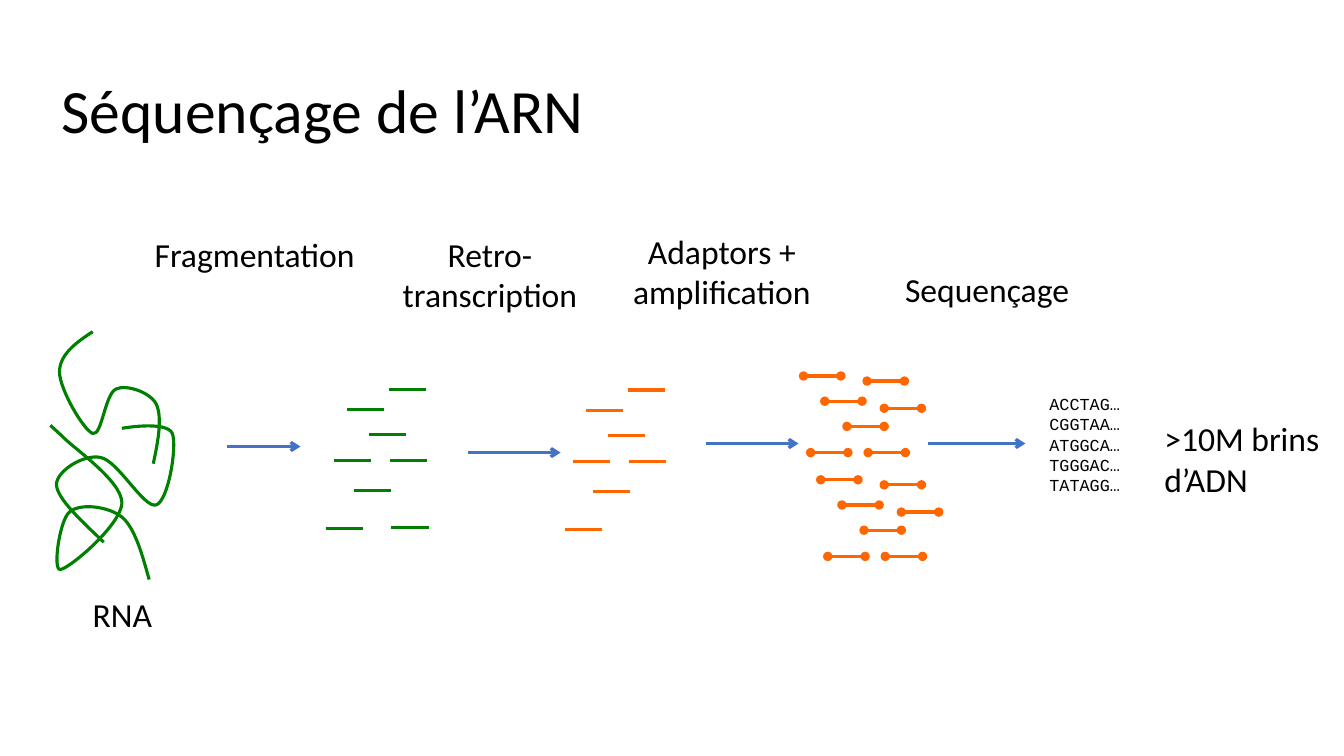
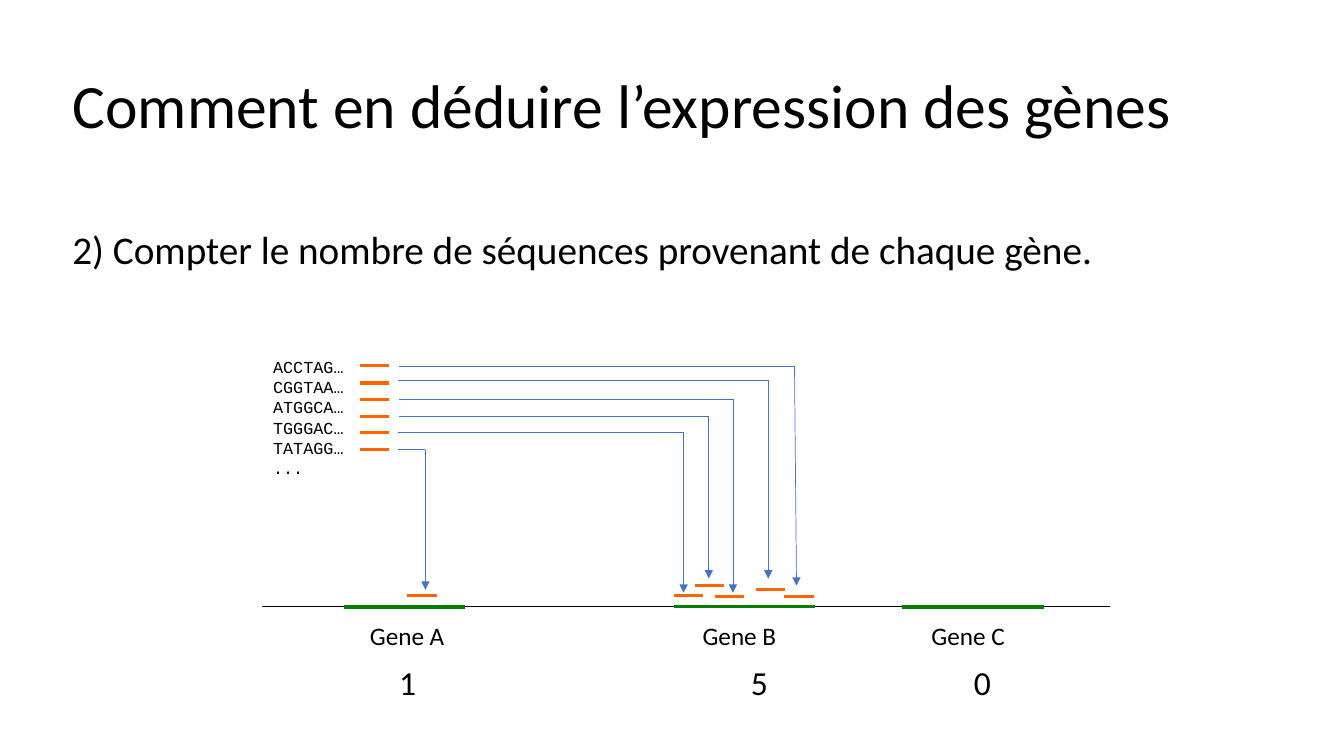
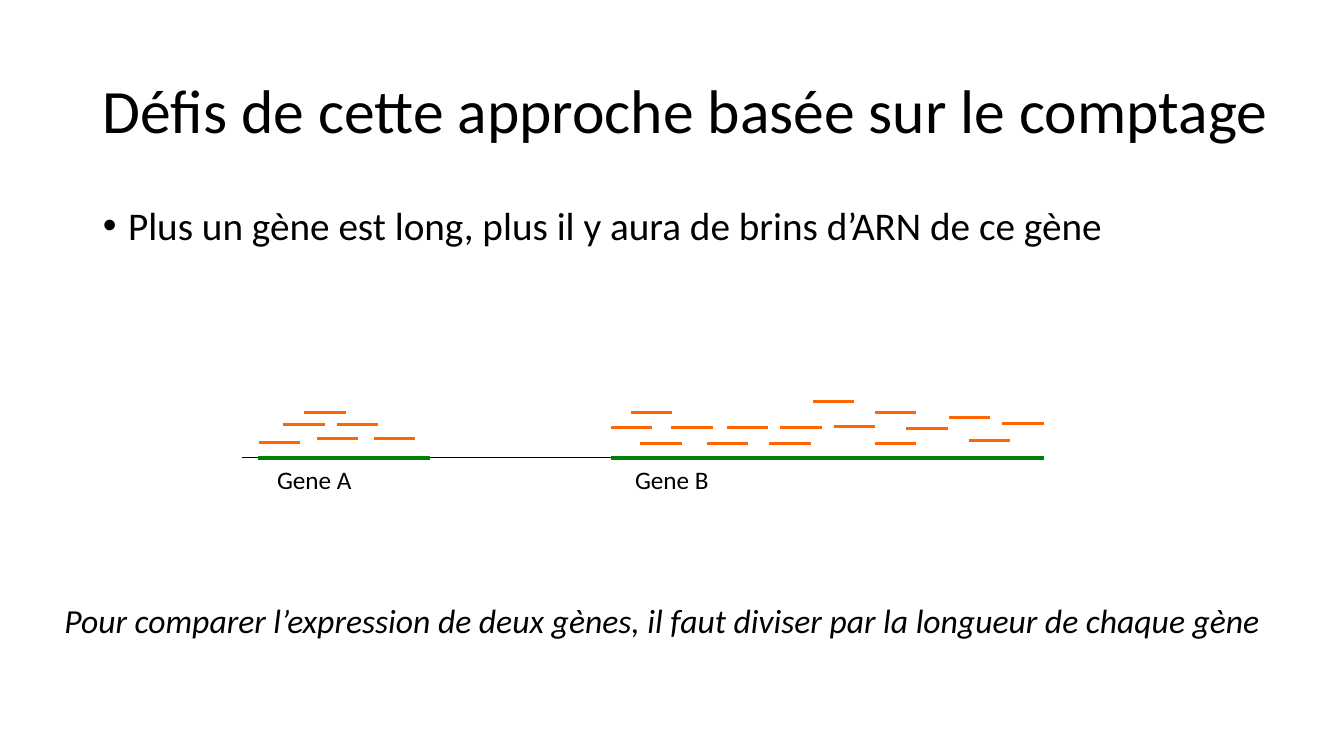
"""Build three slides on RNA sequencing and read counting."""
from dataclasses import dataclass, replace
from typing import NamedTuple

from lxml import etree
from pptx import Presentation
from pptx import util as u
from pptx.dml.color import RGBColor
from pptx.enum import text as t
from pptx.enum.shapes import MSO_CONNECTOR
from pptx.oxml import ns

PX = u.Inches(0.01)
FONT = "Calibri"
MONO = "Courier New"
BLACK = RGBColor(0x00, 0x00, 0x00)
BLUE = RGBColor(0x44, 0x72, 0xC4)
GREEN = RGBColor(0x00, 0x80, 0x00)
ORANGE = RGBColor(0xFF, 0x66, 0x00)
READS = ["ACCTAG…", "CGGTAA…", "ATGGCA…", "TGGGAC…", "TATAGG…"]
TITLE_ONLY, TITLE_AND_BODY = 5, 1


class Point(NamedTuple):
    x: int
    y: int


class Box(NamedTuple):
    left: int
    top: int
    width: int
    height: int


class Label(NamedTuple):
    text: str
    box: Box
    centred: bool = False


class Link(NamedTuple):
    start: Point
    bend: Point
    tip: Point


class Strand(NamedTuple):
    box: Box
    knots: list[tuple[int, int]]
    straight_end: list[tuple[int, int]] = []


@dataclass(frozen=True)
class Stroke:
    color: RGBColor
    width: float = 2.25
    head: str = ""
    tail: str = ""


@dataclass(frozen=True)
class Gene:
    name: str
    left: int
    right: int
    label: Box
    width: float = 3


RNA = Stroke(GREEN)
CDNA = Stroke(ORANGE)
ADAPTED = replace(CDNA, head="oval", tail="oval")
STEP_ARROW = Stroke(BLUE, tail="arrow")
LINK = Stroke(BLUE, 0.5)
LINK_ARROW = replace(LINK, tail="triangle")
GENOME = Stroke(BLACK, 0.75)


def px(values) -> list[int]:
    """Turn px lengths into EMU."""
    return [u.Emu(value * PX) for value in values]


def style_paragraph(paragraph, size: int, font: str = FONT, italic: bool = False) -> None:
    """Set the font of a whole paragraph."""
    paragraph.font.name = font
    paragraph.font.size = u.Pt(size)
    paragraph.font.italic = italic
    paragraph.font.color.rgb = BLACK


def fill_placeholder(holder, text: str, box: Box, size: int):
    """Move a placeholder, write its text and return the paragraph."""
    holder.left, holder.top, holder.width, holder.height = px(box)
    holder.text_frame.text = text
    holder.text_frame.auto_size = t.MSO_AUTO_SIZE.NONE
    paragraph = holder.text_frame.paragraphs[0]
    paragraph.alignment = t.PP_ALIGN.LEFT
    paragraph.line_spacing = 0.9
    style_paragraph(paragraph, size)
    return paragraph


def add_slide(deck, layout: int, title: str, box: Box):
    """Add a slide with its formatted title."""
    slide = deck.slides.add_slide(deck.slide_layouts[layout])
    fill_placeholder(slide.shapes.title, title, box, 44)
    slide.shapes.title.text_frame.vertical_anchor = t.MSO_ANCHOR.MIDDLE
    return slide


def add_text(slide, text: str, box: Box, size: int = 24, font: str = FONT,
             centred: bool = False, italic: bool = False) -> None:
    """Add a wrapping text box, one paragraph for each line."""
    frame = slide.shapes.add_textbox(*px(box)).text_frame
    frame.word_wrap = True
    frame.auto_size = t.MSO_AUTO_SIZE.SHAPE_TO_FIT_TEXT
    frame.text = text
    for paragraph in frame.paragraphs:
        paragraph.alignment = t.PP_ALIGN.CENTER if centred else t.PP_ALIGN.LEFT
        style_paragraph(paragraph, size, font, italic)


def add_line(slide, start: Point, end: Point, stroke: Stroke) -> None:
    """Draw a straight line with its optional ends."""
    line = slide.shapes.add_connector(MSO_CONNECTOR.STRAIGHT, *px((*start, *end)))
    line.line.color.rgb = stroke.color
    line.line.width = u.Pt(stroke.width)
    properties = line.element.spPr
    outline = properties.find(ns.qn("a:ln"))
    for tag, kind in (("a:headEnd", stroke.head), ("a:tailEnd", stroke.tail)):
        if kind:
            etree.SubElement(outline, ns.qn(tag), type=kind)
    etree.SubElement(properties, ns.qn("a:effectLst"))


def add_dashes(slide, starts, length: int, stroke: Stroke, shift: Point = Point(0, 0)) -> None:
    """Draw equal horizontal strands from their left ends."""
    for x, y in starts:
        start = Point(x + shift.x, y + shift.y)
        add_line(slide, start, Point(start.x + length, start.y), stroke)


def add_strand(slide, strand: Strand) -> None:
    """Draw a winding strand of cubic curves with an optional straight end."""
    box, knots = strand.box, strand.knots
    builder = slide.shapes.build_freeform(*px(knots[0]), scale=1.0)
    builder.add_line_segments([px(knot) for knot in knots[3::3]], close=False)
    shape = builder.convert_to_shape()
    shape.left, shape.top, shape.width, shape.height = px(box)
    shape.shadow.inherit = False
    shape.fill.background()
    shape.line.color.rgb = RNA.color
    shape.line.width = u.Pt(RNA.width)

    outline = shape.element.spPr.find(".//" + ns.qn("a:path"))
    for segment in list(outline):
        outline.remove(segment)
    width, height = px(box[2:])
    outline.set("w", str(width))
    outline.set("h", str(height))
    segments = [("a:moveTo", knots[:1])]
    segments += [("a:cubicBezTo", knots[i:i + 3]) for i in range(1, len(knots), 3)]
    segments += [("a:lnTo", [knot]) for knot in strand.straight_end]
    for tag, points in segments:
        segment = etree.SubElement(outline, ns.qn(tag))
        for point in points:
            x, y = px((point[0] - box.left, point[1] - box.top))
            etree.SubElement(segment, ns.qn("a:pt"), x=str(x), y=str(y))


def add_genome(slide, left: int, right: int, y: int, genes: list[Gene]) -> None:
    """Draw the genome axis with its named genes."""
    add_line(slide, Point(left, y), Point(right, y), GENOME)
    for gene in genes:
        add_line(slide, Point(gene.left, y), Point(gene.right, y), Stroke(GREEN, gene.width))
        add_text(slide, gene.name, gene.label, 18)


def build_sequencing(deck) -> None:
    """Show the steps from RNA to sequences."""
    slide = add_slide(deck, TITLE_ONLY, "Séquençage de l’ARN", Box(51, 40, 1150, 145))
    for label in (
        Label("Fragmentation", Box(143, 227, 219, 50), True),
        Label("Retro-transcription", Box(366, 227, 240, 91), True),
        Label("Adaptors + amplification", Box(596, 224, 240, 91), True),
        Label("Sequençage", Box(880, 262, 198, 50), True),
        Label("RNA", Box(82, 584, 99, 50)),
        Label(">10M brins d’ADN", Box(1145, 410, 174, 91)),
    ):
        add_text(slide, label.text, label.box, centred=label.centred)
    add_text(slide, "\n".join(READS), Box(1031, 386, 205, 169), 12, MONO)

    for left, right, y in ((225, 298, 443), (464, 556, 449), (700, 792, 440), (920, 1017, 440)):
        add_line(slide, Point(left, y), Point(right, y), STEP_ARROW)

    for strand in (
        Strand(Box(59, 329, 99, 132), [
            (92, 329), (75, 340), (59, 352), (59, 369), (59, 386), (83, 427), (92, 430),
            (101, 433), (104, 391), (115, 386), (125, 381), (149, 389), (155, 401),
            (161, 414), (157, 437), (152, 460)]),
        Strand(Box(56, 423, 116, 116), [
            (103, 538), (80, 516), (57, 495), (56, 481), (56, 467), (84, 450), (100, 454),
            (117, 457), (143, 505), (155, 501), (167, 497), (176, 443), (171, 430),
            (165, 417), (121, 425), (121, 425)]),
        Strand(Box(50, 422, 97, 154), [
            (148, 575), (141, 550), (134, 524), (121, 513), (107, 502), (79, 499), (69, 508),
            (59, 516), (52, 567), (60, 565), (69, 564), (120, 521), (121, 499),
            (121, 477), (72, 444), (62, 433)], [(62, 433), (50, 422)]),
    ):
        add_strand(slide, strand)

    copied = [(344, 406), (386, 386), (387, 457), (351, 487), (323, 524), (331, 457), (366, 431)]
    add_dashes(slide, copied + [(388, 523)], 37, RNA)
    add_dashes(slide, copied, 37, CDNA, Point(237, 1))
    adapted = [(797, 373), (818, 398), (860, 378), (861, 449), (804, 449), (840, 423), (877, 405)]
    for shift in (Point(0, 0), Point(17, 103)):
        add_dashes(slide, adapted, 37, ADAPTED, shift)


def build_counting(deck) -> None:
    """Show how reads are assigned to genes and counted."""
    slide = add_slide(deck, TITLE_ONLY, "Comment en déduire l’expression des gènes",
                      Box(62, 35, 1150, 145))
    add_text(slide, "2) Compter le nombre de séquences provenant de chaque gène.",
             Box(62, 219, 1169, 57), 28)
    add_genome(slide, 260, 1101, 602, [
        Gene("Gene A", 341, 461, Box(357, 610, 145, 40)),
        Gene("Gene B", 668, 808, Box(687, 610, 145, 40), 2.25),
        Gene("Gene C", 895, 1035, Box(914, 610, 145, 40)),
    ])
    for count, left in (("1", 386), ("5", 735), ("0", 956)):
        add_text(slide, count, Box(left, 652, 89, 50))

    add_text(slide, "\n".join(READS + ["..."]), Box(261, 349, 159, 131), 12, MONO)
    add_dashes(slide, [(357, round(363 + 16.6 * row)) for row in range(6)], 29, CDNA)
    mapped = [(668, 591), (709, 592), (750, 585), (404, 591), (778, 592), (689, 581)]
    add_dashes(slide, mapped, 29, CDNA)
    for link in (
        Link(Point(396, 363), Point(788, 363), Point(790, 581)),
        Link(Point(395, 377), Point(762, 377), Point(762, 574)),
        Link(Point(396, 396), Point(727, 396), Point(727, 588)),
        Link(Point(396, 413), Point(703, 413), Point(703, 574)),
        Link(Point(395, 429), Point(678, 429), Point(678, 588)),
        Link(Point(395, 446), Point(422, 446), Point(422, 585)),
    ):
        add_line(slide, link.start, link.bend, LINK)
        add_line(slide, link.bend, link.tip, LINK_ARROW)


def build_challenges(deck) -> None:
    """Show how gene length biases the counts."""
    slide = add_slide(deck, TITLE_AND_BODY, "Défis de cette approche basée sur le comptage",
                      Box(92, 40, 1190, 145))
    bullet = fill_placeholder(slide.placeholders[1],
                              "Plus un gène est long, plus il y aura de brins d’ARN de ce gène",
                              Box(92, 200, 1150, 74), 28)
    bullet.space_before = u.Pt(10)
    indent = u.Inches(0.25)
    layout = bullet._p.get_or_add_pPr()
    layout.set("marL", str(indent))
    layout.set("indent", str(-indent))

    add_genome(slide, 240, 794, 454, [
        Gene("Gene A", 256, 426, Box(265, 456, 207, 58)),
        Gene("Gene B", 606, 1035, Box(620, 456, 207, 58)),
    ])
    reads_a = [(281, 421), (302, 409), (334, 421), (314, 435), (371, 435), (257, 439)]
    reads_b = [(606, 424), (635, 440), (626, 409), (721, 424), (763, 440), (701, 440),
               (666, 424), (806, 398), (827, 423), (868, 440), (868, 409), (774, 424),
               (899, 425), (941, 414), (961, 437), (994, 420)]
    add_dashes(slide, reads_a + reads_b, 41, CDNA)
    add_text(slide, "Pour comparer l’expression de deux gènes, il faut diviser par la longueur "
             "de chaque gène", Box(54, 590, 1244, 50), italic=True)


def main() -> None:
    """Build and save the deck."""
    deck = Presentation()
    deck.slide_width, deck.slide_height = u.Inches(13.33), u.Inches(7.5)
    build_sequencing(deck)
    build_counting(deck)
    build_challenges(deck)
    deck.save("out.pptx")


if __name__ == "__main__":
    main()
